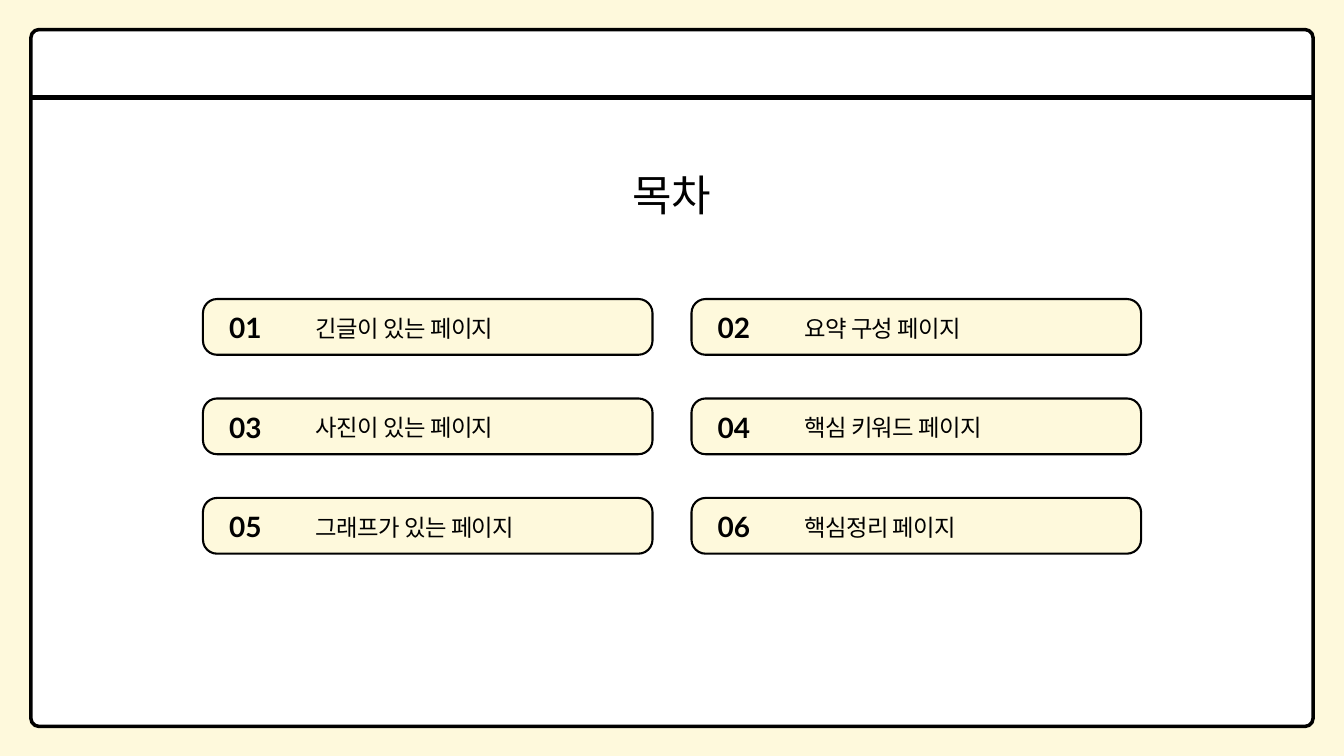
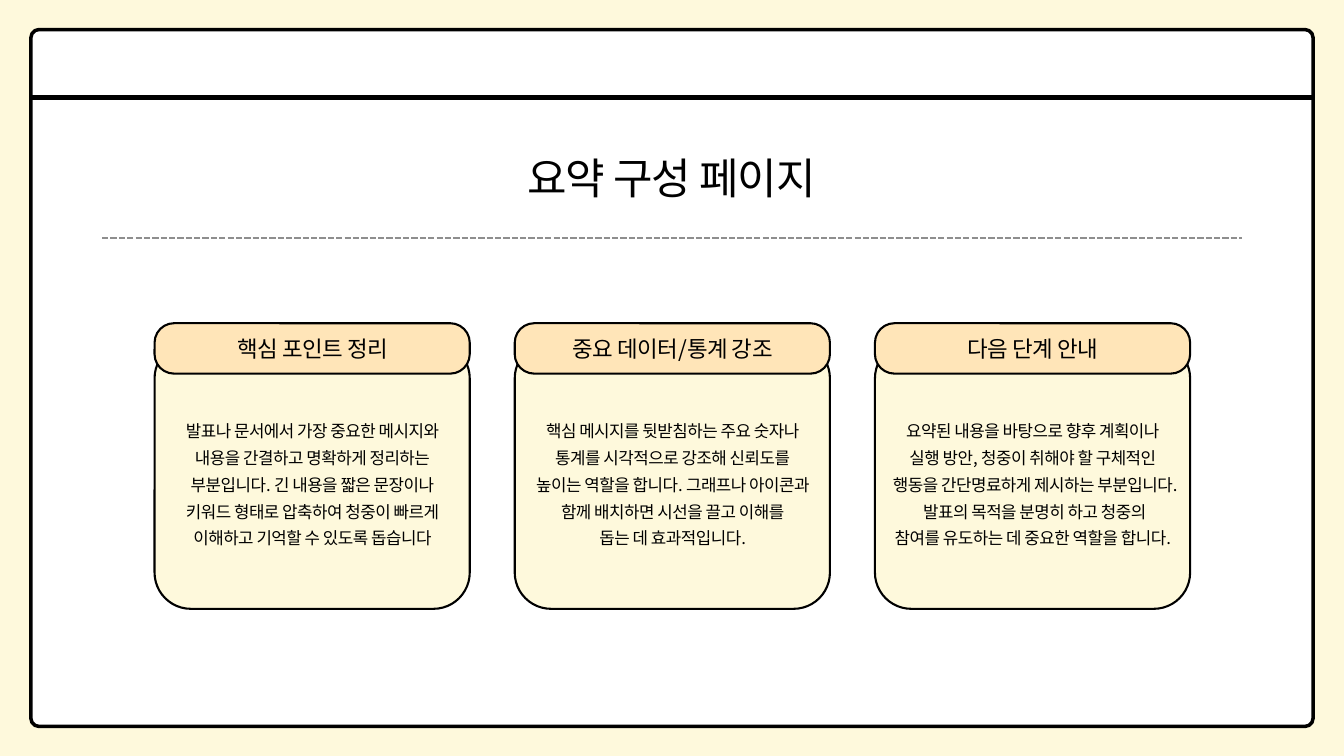
from lxml import etree
from pptx import Presentation
from pptx.dml.color import RGBColor
from pptx.enum.dml import MSO_LINE
from pptx.enum.shapes import MSO_CONNECTOR, MSO_SHAPE
from pptx.enum.text import MSO_ANCHOR, MSO_AUTO_SIZE, PP_ALIGN
from pptx.oxml.ns import qn
from pptx.util import Inches, Pt

CREAM = RGBColor(0xFE, 0xF9, 0xDC)
PEACH = RGBColor(0xFF, 0xE5, 0xB8)
WHITE = RGBColor(0xFF, 0xFF, 0xFF)
BLACK = RGBColor(0x00, 0x00, 0x00)
GREY = RGBColor(0x8E, 0x8E, 0x8E)
KOREAN = "Noto Sans CJK KR"
LATIN = "Lato"


def add_panel(page, left, top, width, height, radius, fill, weight=2.25):
    panel = page.shapes.add_shape(
        MSO_SHAPE.ROUNDED_RECTANGLE,
        Inches(left), Inches(top), Inches(width), Inches(height))
    panel.adjustments[0] = radius / min(width, height)
    panel.shadow.inherit = False
    panel.fill.solid()
    panel.fill.fore_color.rgb = fill
    panel.line.color.rgb = BLACK
    panel.line.width = Pt(weight)


def write(box, left, top, width, height, lines, size, leading,
          align=PP_ALIGN.CENTER, font=KOREAN, spacing=-0.5, bold=False):
    box.left, box.top = Inches(left), Inches(top)
    box.width, box.height = Inches(width), Inches(height)
    frame = box.text_frame
    frame.word_wrap = True
    frame.auto_size = MSO_AUTO_SIZE.NONE
    frame.vertical_anchor = MSO_ANCHOR.TOP
    frame.margin_left = frame.margin_right = 0
    frame.margin_top = frame.margin_bottom = 0
    for index, line in enumerate(lines):
        para = frame.add_paragraph() if index else frame.paragraphs[0]
        para.alignment = align
        para.line_spacing = Pt(leading)
        para.space_before = Pt(0)
        span = para.add_run()
        span.text = line
        span.font.size = Pt(size)
        span.font.bold = bold
        span.font.color.rgb = BLACK
        span.font.name = font
        properties = span.font._element if hasattr(span.font, "_element") else span._r.get_or_add_rPr()
        properties.set("spc", str(round(spacing * 100)))
        etree.SubElement(properties, qn("a:ea")).set("typeface", font)


deck = Presentation()
deck.slide_width, deck.slide_height = Inches(20), Inches(11.25)
deck.slide_master.background.fill.solid()
deck.slide_master.background.fill.fore_color.rgb = CREAM

header_rule = (0.46, 19.54, 1.45, BLACK, 4.96, None)
title_rule = (1.52, 18.48, 3.54, GREY, 2.25, MSO_LINE.SQUARE_DOT)
pages = []
for title, title_top, rules in [
    ("목차", 2.38, [header_rule]),
    ("요약 구성 페이지", 2.13, [header_rule, title_rule]),
]:
    page = deck.slides.add_slide(deck.slide_layouts[5])
    add_panel(page, 0.46, 0.44, 19.08, 10.37, 0.12, WHITE, 3.75)
    for start, end, top, color, weight, dash in rules:
        rule = page.shapes.add_connector(
            MSO_CONNECTOR.STRAIGHT,
            Inches(start), Inches(top), Inches(end), Inches(top))
        rule.line.color.rgb = color
        rule.line.width = Pt(weight)
        if dash:
            rule.line.dash_style = dash
        etree.SubElement(rule.element.spPr, qn("a:effectLst"))
    heading = page.shapes.title
    heading.element.getparent().append(heading.element)
    write(heading, 5.34, title_top, 9.31, 0.86, [title], 46, 64.4, spacing=-0.9)
    pages.append(page)

contents_page, summary_page = pages

chapters = [
    "긴글이 있는 페이지", "요약 구성 페이지",
    "사진이 있는 페이지", "핵심 키워드 페이지",
    "그래프가 있는 페이지", "핵심정리 페이지",
]
for index, chapter in enumerate(chapters):
    row, column = divmod(index, 2)
    left, top = 3.02 + 7.27 * column, 4.45 + 1.48 * row
    add_panel(contents_page, left, top, 6.69, 0.83, 0.21, CREAM)
    number_box = contents_page.shapes.add_textbox(0, 0, 0, 0)
    write(number_box, left + 0.39, top + 0.15, 1.01, 0.52, [f"{index + 1:02}"],
          30, 37.8, PP_ALIGN.LEFT, LATIN, 0, True)
    chapter_box = contents_page.shapes.add_textbox(0, 0, 0, 0)
    write(chapter_box, left + 1.68, top + 0.15, 4.83, 0.47, [chapter],
          25, 35, PP_ALIGN.LEFT)

cards = [
    ("핵심 포인트 정리", [
        "발표나 문서에서 가장 중요한 메시지와",
        "내용을 간결하고 명확하게 정리하는",
        "부분입니다. 긴 내용을 짧은 문장이나",
        "키워드 형태로 압축하여 청중이 빠르게",
        "이해하고 기억할 수 있도록 돕습니다",
    ]),
    ("중요 데이터/통계 강조", [
        "핵심 메시지를 뒷받침하는 주요 숫자나",
        "통계를 시각적으로 강조해 신뢰도를",
        "높이는 역할을 합니다. 그래프나 아이콘과 함께 배치하면 시선을 끌고 이해를",
        "돕는 데 효과적입니다.",
    ]),
    ("다음 단계 안내", [
        "요약된 내용을 바탕으로 향후 계획이나",
        "실행 방안, 청중이 취해야 할 구체적인",
        "행동을 간단명료하게 제시하는 부분입니다. 발표의 목적을 분명히 하고 청중의",
        "참여를 유도하는 데 중요한 역할을 합니다.",
    ]),
]
for index, (card_title, card_lines) in enumerate(cards):
    left = 2.3 + 5.36 * index
    add_panel(summary_page, left, 5.09, 4.69, 3.97, 0.54, CREAM)
    body_box = summary_page.shapes.add_textbox(0, 0, 0, 0)
    write(body_box, left + 0.26, 6.16, 4.18, 1.95, card_lines, 18, 28.8)
    add_panel(summary_page, left, 4.81, 4.69, 0.75, 0.29, PEACH)
    label_box = summary_page.shapes.add_textbox(0, 0, 0, 0)
    write(label_box, left + 0.26, 4.92, 4.18, 0.45, [card_title], 24, 33.6)

deck.save("out.pptx")
